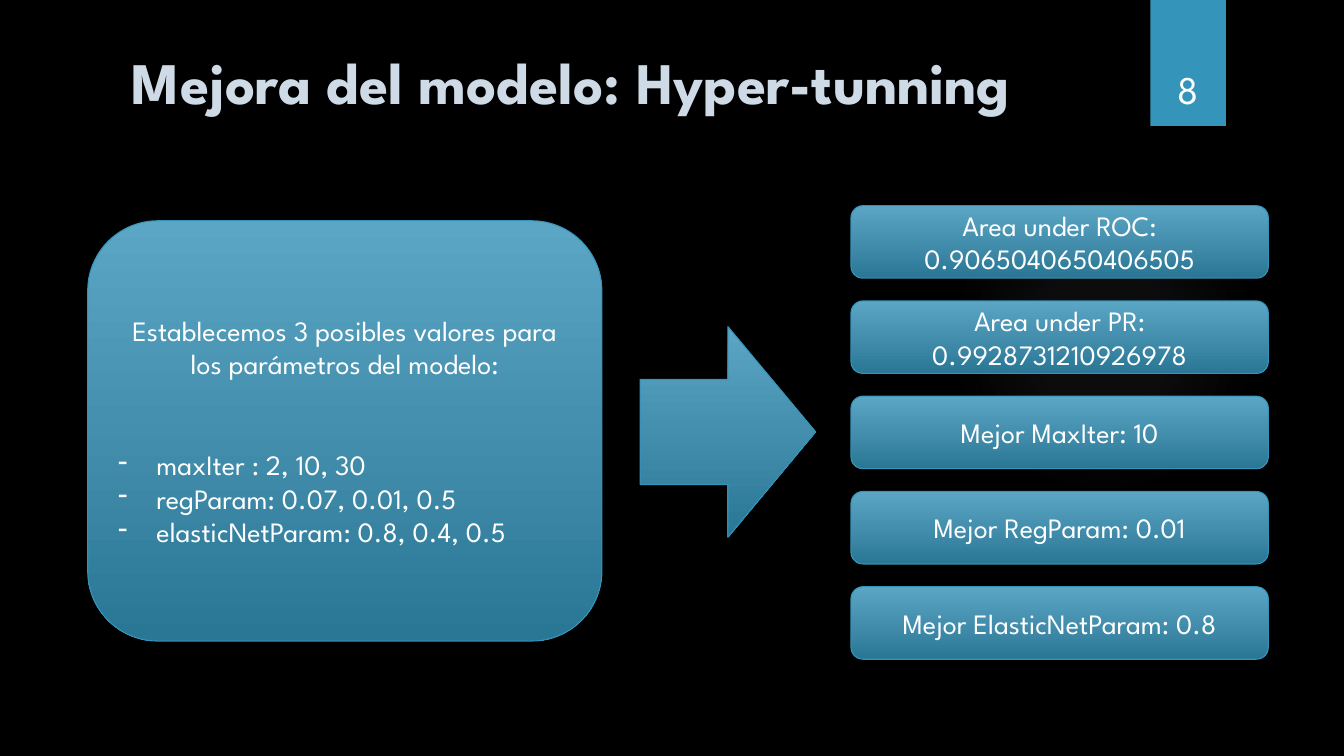
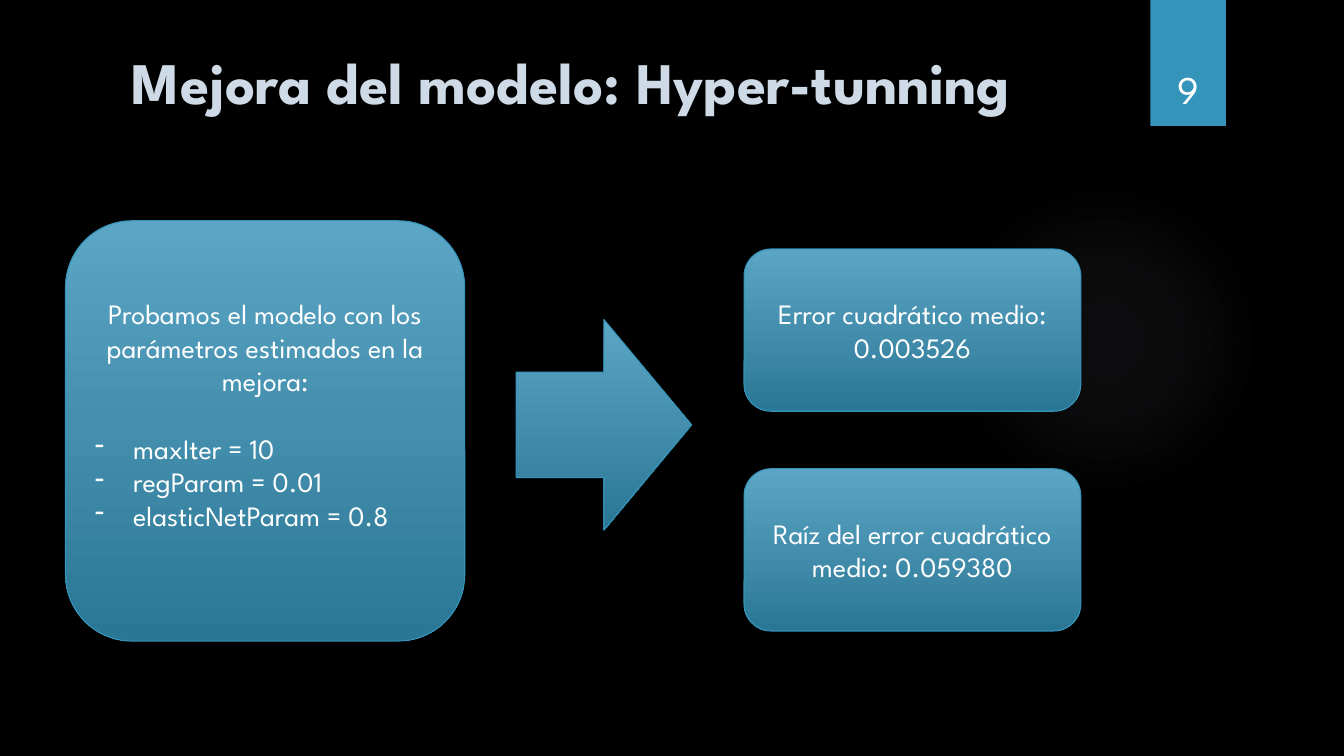
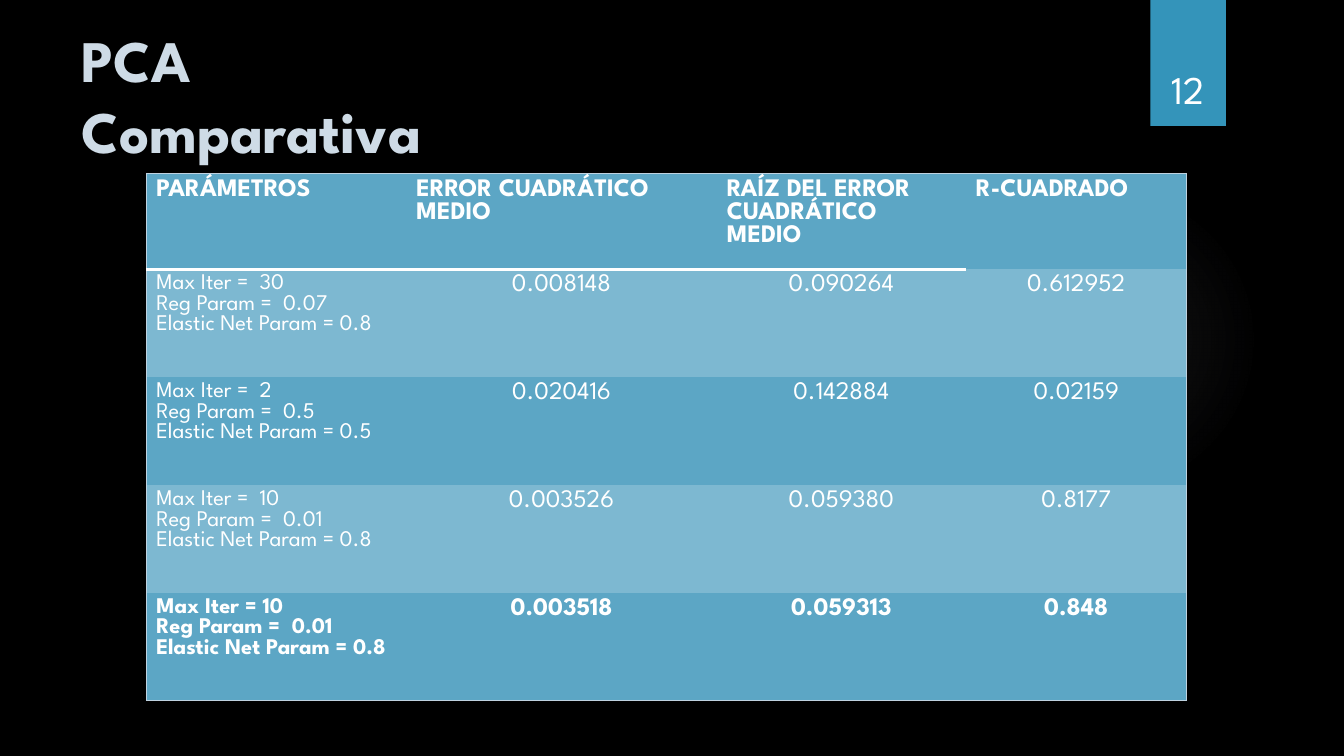
"""Builds three slides on hyper-parameter tuning and the comparison of its models."""

import dataclasses
import typing

import lxml.etree
import pptx
import pptx.dml.color
import pptx.enum.shapes
import pptx.enum.text
import pptx.oxml
import pptx.oxml.ns
import pptx.util

Inches = pptx.util.Inches
Pt = pptx.util.Pt
Shapes = pptx.enum.shapes.MSO_SHAPE
Align = pptx.enum.text.PP_ALIGN
Anchor = pptx.enum.text.MSO_ANCHOR
qn = pptx.oxml.ns.qn

FONT = "League Spartan"
COLORS = {
    "background": "000000",
    "text": "FFFFFF",
    "title": "CEDBE6",
    "accent": "3494BA",
    "light": "5CA6C5",
    "dark": "2A7795",
    "stripe": "7DB8D1",
    "frame": "BFD2E0",
    "glow": "AAA7BC",
}
NO_TABLE_STYLE = "{2D5ABB26-0587-4C30-8999-92F81FD0307C}"


@dataclasses.dataclass(frozen=True)
class Area:
    left: float
    top: float
    width: float
    height: float

    def lengths(self) -> list[int]:
        return [Inches(side) for side in dataclasses.astuple(self)]


@dataclasses.dataclass(frozen=True)
class Panel:
    area: Area
    intro: str
    bullets: tuple[str, ...]
    gap: float
    bottom_inset: float = 0.05


@dataclasses.dataclass(frozen=True)
class Results:
    first: Area
    last_top: float
    texts: tuple[str, ...]


@dataclasses.dataclass(frozen=True)
class TuningPage:
    number: int
    panel: Panel
    arrow: Area
    results: Results


@dataclasses.dataclass(frozen=True)
class ModelRow:
    iterations: str
    regularisation: str
    elastic_net: str
    scores: tuple[str, str, str]
    bold: bool = False

    def parameters(self) -> list[str]:
        return [self.iterations, self.regularisation, self.elastic_net]


TUNING_PAGES = (
    TuningPage(
        8,
        Panel(
            Area(0.87, 2.19, 5.1, 4.17),
            "Establecemos 3 posibles valores para los parámetros del modelo:",
            ("maxIter : 2, 10, 30", "regParam: 0.07, 0.01, 0.5", "elasticNetParam: 0.8, 0.4, 0.5"),
            gap=48,
        ),
        Area(6.35, 3.24, 1.74, 2.09),
        Results(
            Area(8.44, 2.04, 4.14, 0.72),
            5.82,
            (
                "Area under ROC: 0.9065040650406505",
                "Area under PR: 0.9928731210926978",
                "Mejor MaxIter: 10",
                "Mejor RegParam: 0.01",
                "Mejor ElasticNetParam: 0.8",
            ),
        ),
    ),
    TuningPage(
        9,
        Panel(
            Area(0.65, 2.19, 3.96, 4.17),
            "Probamos el modelo con los parámetros estimados en la mejora:",
            ("maxIter = 10", "regParam = 0.01", "elasticNetParam = 0.8"),
            gap=24,
            bottom_inset=0.38,
        ),
        Area(5.12, 3.17, 1.74, 2.09),
        Results(
            Area(7.38, 2.47, 3.34, 1.61),
            4.65,
            ("Error cuadrático medio: 0.003526", "Raíz del error cuadrático medio: 0.059380"),
        ),
    ),
)

HEADERS = ("PARÁMETROS", "ERROR CUADRÁTICO MEDIO", "RAÍZ DEL ERROR CUADRÁTICO MEDIO", "R-CUADRADO")
COLUMN_WIDTHS = (2.58, 3.08, 2.47, 2.19)
HEADER_HEIGHT, ROW_HEIGHT = 0.92, 1.07
MODELS = (
    ModelRow("Max Iter =  30", "Reg Param =  0.07", "Elastic Net Param = 0.8",
             ("0.008148", "0.090264", "0.612952")),
    ModelRow("Max Iter =  2", "Reg Param =  0.5", "Elastic Net Param = 0.5",
             ("0.020416", "0.142884", "0.02159")),
    ModelRow("Max Iter =  10", "Reg Param =  0.01", "Elastic Net Param = 0.8",
             ("0.003526", "0.059380", "0.8177")),
    ModelRow("Max Iter = 10", "Reg Param =  0.01", "Elastic Net Param = 0.8",
             ("0.003518", "0.059313", "0.848"), bold=True),
)


def rgb(name: str) -> pptx.dml.color.RGBColor:
    return pptx.dml.color.RGBColor.from_string(COLORS[name])


def write(
    frame: typing.Any,
    text: str,
    *,
    size: float = 20,
    color: str = "text",
    bold: bool = False,
    align: Align = Align.LEFT,
    before: float = 0,
    bullet: bool = False,
) -> None:
    para = frame.add_paragraph() if frame.text else frame.paragraphs[0]
    para.text = text
    para.alignment = align
    para.space_before = Pt(before)
    for span in para.runs:
        span.font.name = FONT
        span.font.size = Pt(size)
        span.font.bold = bold
        span.font.color.rgb = rgb(color)
    if bullet:
        properties = para._p.get_or_add_pPr()
        properties.set("marL", str(Inches(0.38)))
        properties.set("indent", str(-Inches(0.38)))
        lxml.etree.SubElement(properties, qn("a:buChar")).set("char", "-")


def add_text_box(page: typing.Any, area: Area, text: str, *, anchor: Anchor = Anchor.TOP,
                 **style: typing.Any) -> None:
    frame = page.shapes.add_textbox(*area.lengths()).text_frame
    frame.word_wrap = True
    frame.vertical_anchor = anchor
    write(frame, text, **style)


def add_gradient_shape(page: typing.Any, kind: Shapes, area: Area) -> typing.Any:
    shape = page.shapes.add_shape(kind, *area.lengths())
    shape.shadow.inherit = False
    shape.fill.gradient()
    shape.fill.gradient_angle = 270
    for stop, color, position in zip(shape.fill.gradient_stops, ("light", "dark"), (0, 1)):
        stop.color.rgb = rgb(color)
        stop.position = position
    shape.line.color.rgb = rgb("accent")
    shape.line.width = Pt(0.75)
    shape.text_frame.word_wrap = True
    shape.text_frame.vertical_anchor = Anchor.MIDDLE
    return shape


def add_glow(page: typing.Any) -> None:
    glow = page.shapes.add_shape(Shapes.OVAL, *Area(9.41, 1.83, 3.08, 3.08).lengths())
    glow.shadow.inherit = False
    glow.line.fill.background()
    stops = "".join(
        f'<a:gs pos="{position * 1000}"><a:srgbClr val="{COLORS["glow"]}">'
        f'<a:alpha val="{alpha * 1000}"/></a:srgbClr></a:gs>'
        for position, alpha in ((0, 7), (36, 6), (69, 0))
    )
    gradient = pptx.oxml.parse_xml(
        f'<a:gradFill {pptx.oxml.ns.nsdecls("a")}><a:gsLst>{stops}</a:gsLst><a:path path="circle">'
        '<a:fillToRect l="50000" t="50000" r="50000" b="50000"/></a:path></a:gradFill>'
    )
    glow.element.spPr.find(qn("a:prstGeom")).addnext(gradient)


def add_page(deck: typing.Any, number: int, title: str, title_area: Area) -> typing.Any:
    page = deck.slides.add_slide(deck.slide_layouts[6])
    add_glow(page)
    band = page.shapes.add_shape(Shapes.RECTANGLE, *Area(11.41, 0, 0.75, 1.25).lengths())
    band.shadow.inherit = False
    band.fill.solid()
    band.fill.fore_color.rgb = rgb("accent")
    band.line.fill.background()
    add_text_box(page, Area(11.32, 0.32, 0.92, 0.84), str(number),
                 anchor=Anchor.BOTTOM, size=28, align=Align.CENTER)
    add_text_box(page, title_area, title, size=42, color="title", bold=True)
    return page


def add_panel(page: typing.Any, panel: Panel) -> None:
    frame = add_gradient_shape(page, Shapes.ROUNDED_RECTANGLE, panel.area).text_frame
    frame.margin_bottom = Inches(panel.bottom_inset)
    write(frame, panel.intro, align=Align.CENTER)
    for index, text in enumerate(panel.bullets):
        write(frame, text, bullet=True, before=0 if index else panel.gap)


def add_results(page: typing.Any, results: Results) -> None:
    pitch = (results.last_top - results.first.top) / (len(results.texts) - 1)
    for index, text in enumerate(results.texts):
        area = dataclasses.replace(results.first, top=results.first.top + index * pitch)
        box = add_gradient_shape(page, Shapes.ROUNDED_RECTANGLE, area)
        write(box.text_frame, text, align=Align.CENTER)


def add_tuning_page(deck: typing.Any, content: TuningPage) -> None:
    page = add_page(deck, content.number, "Mejora del modelo: Hyper-tunning",
                    Area(1.21, 0.4, 10.29, 1.53))
    add_panel(page, content.panel)
    add_gradient_shape(page, Shapes.RIGHT_ARROW, content.arrow)
    add_results(page, content.results)


def set_borders(cell: typing.Any, borders: dict[str, tuple[str, float]]) -> None:
    properties = cell._tc.get_or_add_tcPr()
    for side in ("L", "R", "T", "B"):
        if side in borders:
            color, width = borders[side]
            line = lxml.etree.SubElement(properties, qn(f"a:ln{side}"), w=str(Pt(width)))
            fill = lxml.etree.SubElement(line, qn("a:solidFill"))
            lxml.etree.SubElement(fill, qn("a:srgbClr"), val=COLORS[color])


def style_cells(table: typing.Any) -> None:
    last_row, last_column = len(table.rows) - 1, len(table.columns) - 1
    for row in range(last_row + 1):
        for column in range(last_column + 1):
            edges = {"L": column == 0, "R": column == last_column, "T": row == 0, "B": row == last_row}
            borders = {side: ("frame", 0.75) for side, outer in edges.items() if outer}
            if row == 0 and column < last_column:
                borders["B"] = ("text", 2.25)
            cell = table.cell(row, column)
            set_borders(cell, borders)
            cell.fill.solid()
            cell.fill.fore_color.rgb = rgb("stripe" if row % 2 else "light")


def add_comparison_page(deck: typing.Any) -> None:
    page = add_page(deck, 12, "PCA \vComparativa", Area(0.71, 0.19, 11.53, 1.53))
    area = Area(1.45, 1.72, sum(COLUMN_WIDTHS), HEADER_HEIGHT + ROW_HEIGHT * len(MODELS))
    holder = page.shapes.add_table(len(MODELS) + 1, len(HEADERS), *area.lengths())
    for style in holder.element.iter(qn("a:tableStyleId")):
        style.text = NO_TABLE_STYLE
    table = holder.table
    for column, width in zip(table.columns, COLUMN_WIDTHS):
        column.width = Inches(width)
    for index, row in enumerate(table.rows):
        row.height = Inches(ROW_HEIGHT if index else HEADER_HEIGHT)
    style_cells(table)
    for column, header in enumerate(HEADERS):
        cell = table.cell(0, column)
        cell.margin_bottom = 0
        write(cell.text_frame, header, size=18, bold=True)
    for row, model in enumerate(MODELS, start=1):
        for text in model.parameters():
            write(table.cell(row, 0).text_frame, text, size=16, bold=model.bold)
        for column, score in enumerate(model.scores, start=1):
            write(table.cell(row, column).text_frame, score, size=18, bold=model.bold,
                  align=Align.CENTER)


def set_defaults(deck: typing.Any) -> None:
    background = deck.slide_master.background.fill
    background.solid()
    background.fore_color.rgb = rgb("background")
    for root in (deck.element, deck.slide_master.element):
        for latin in root.iter(qn("a:latin")):
            latin.set("typeface", FONT)


def main() -> None:
    deck = pptx.Presentation()
    deck.slide_width, deck.slide_height = Inches(13.33), Inches(7.5)
    set_defaults(deck)
    for content in TUNING_PAGES:
        add_tuning_page(deck, content)
    add_comparison_page(deck)
    deck.save("out.pptx")


if __name__ == "__main__":
    main()
